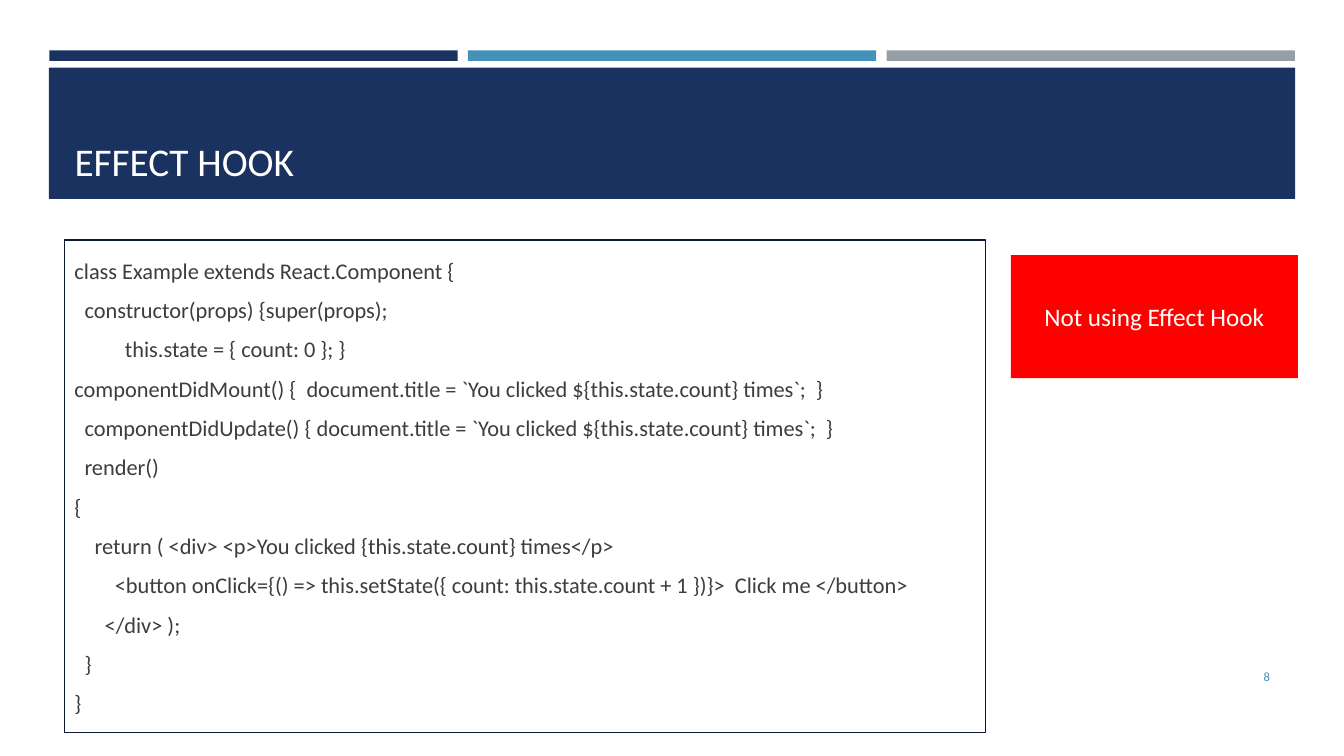
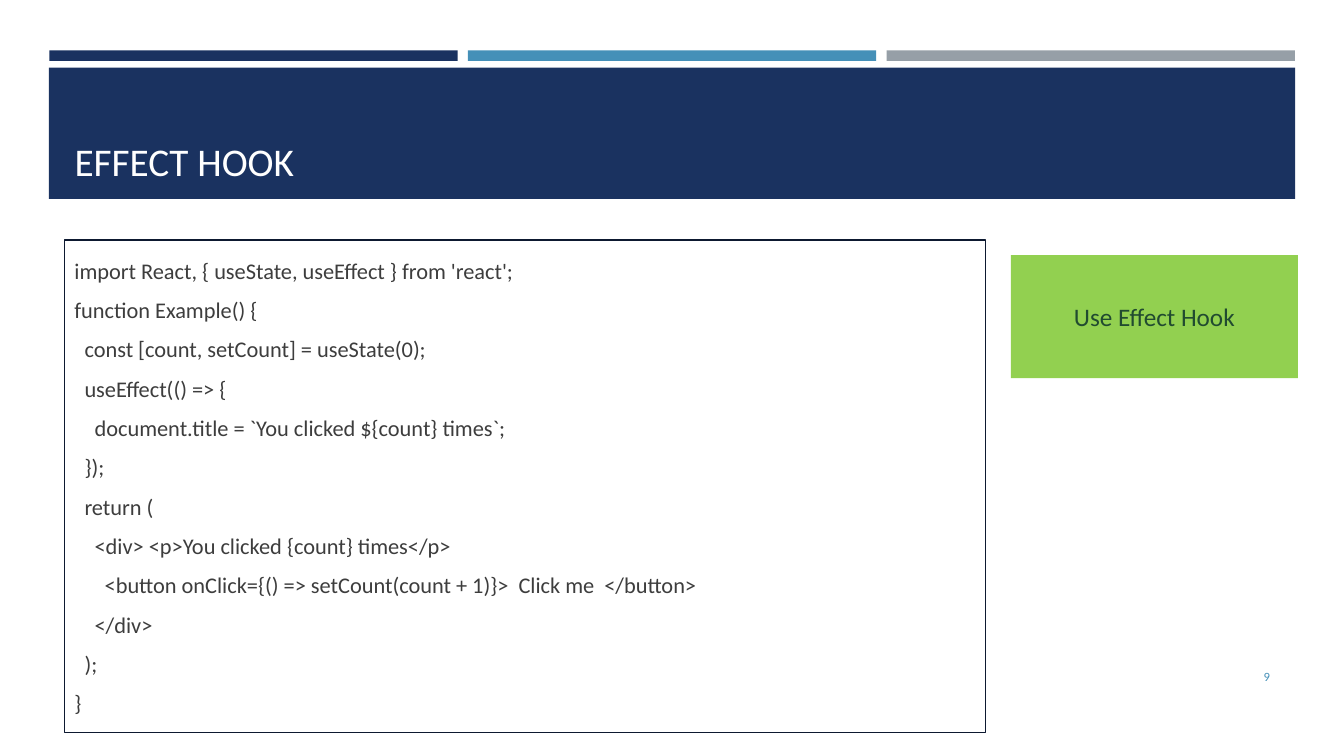
from dataclasses import dataclass

from pptx import Presentation
from pptx.dml.color import RGBColor
from pptx.enum.shapes import MSO_SHAPE as Shape
from pptx.enum.text import MSO_ANCHOR as Anchor, MSO_AUTO_SIZE as AutoSize, PP_ALIGN as Align
from pptx.util import Inches, Pt


@dataclass(frozen=True)
class Theme:
    font: str = "Calibri"
    navy: str = "1A3260"
    blue: str = "4590B8"
    grey: str = "969FA7"
    outline: str = "0D1930"
    ink: str = "3D3D3D"
    white: str = "FFFFFF"
    red: str = "FF0000"
    green: str = "92D050"
    dark_green: str = "214B30"
    title_size: int = 28
    badge_size: int = 18
    code_size: int = 16
    number_size: int = 9


THEME = Theme()
WIDTH, HEIGHT = Inches(13.333), Inches(7.5)
INDENT = Inches(0.1)
TITLE_ONLY = 5

# Areas: left, top, width, height in percent of the slide
BAND = (3.63, 8.95, 92.74, 17.35)
STRIPE_LEFT, STRIPE_STEP = 3.67, 31.15
STRIPE_TOP, STRIPE_WIDTH, STRIPE_HEIGHT = 6.67, 30.38, 1.4
TITLE = (4.8, 10.27, 90.45, 14.8)
CODE = (4.8, 31.75, 68.55, 65.2)
BADGE = (75.22, 33.75, 21.35, 16.27)
NUMBER = (86.62, 86.8, 8.62, 5.33)

# Code lines: indent steps, text
CLASS_CODE = [
    (0, "class Example extends React.Component {"),
    (1, "constructor(props) {super(props);"),
    (5, "this.state = { count: 0 }; }"),
    (0, "componentDidMount() {  document.title = `You clicked ${this.state.count} times`;  }"),
    (1, "componentDidUpdate() { document.title = `You clicked ${this.state.count} times`;  }"),
    (1, "render()"),
    (0, "{"),
    (2, "return ( <div> <p>You clicked {this.state.count} times</p>"),
    (4, "<button onClick={() => this.setState({ count: this.state.count + 1 })}>  Click me </button>"),
    (3, "</div> );"),
    (1, "}"),
    (0, "}"),
]
HOOK_CODE = [
    (0, "import React, { useState, useEffect } from 'react';"),
    (0, "function Example() {"),
    (1, "const [count, setCount] = useState(0);"),
    (1, "useEffect(() => {"),
    (2, "document.title = `You clicked ${count} times`;"),
    (1, "});"),
    (1, "return ("),
    (2, "<div> <p>You clicked {count} times</p>"),
    (3, "<button onClick={() => setCount(count + 1)}>  Click me  </button>"),
    (2, "</div>"),
    (1, ");"),
    (0, "}"),
]
SLIDES = [
    (CLASS_CODE, "Not using Effect Hook", THEME.red, THEME.white),
    (HOOK_CODE, "Use Effect Hook", THEME.green, THEME.dark_green),
]


def rgb(value):
    return RGBColor.from_string(value)


def place(area):
    left, top, width, height = (share / 100 for share in area)
    return int(left * WIDTH), int(top * HEIGHT), int(width * WIDTH), int(height * HEIGHT)


def write(box, lines, size, color, align=Align.LEFT, anchor=Anchor.MIDDLE):
    """Fill a box with one paragraph per line, all in one style."""
    frame = box.text_frame
    frame.text = "\n".join(lines)
    frame.word_wrap = True
    frame.auto_size = AutoSize.NONE
    frame.vertical_anchor = anchor
    for para in frame.paragraphs:
        para.alignment = align
        for span in para.runs:
            span.font.name = THEME.font
            span.font.size = Pt(size)
            span.font.color.rgb = rgb(color)
    return frame.paragraphs


def add_block(slide, area, fill):
    block = slide.shapes.add_shape(Shape.RECTANGLE, *place(area))
    block.shadow.inherit = False
    block.fill.solid()
    block.fill.fore_color.rgb = rgb(fill)
    block.line.fill.background()
    return block


def set_title(slide, text):
    title = slide.shapes.title
    title.left, title.top, title.width, title.height = place(TITLE)
    write(title, [text], THEME.title_size, THEME.white, anchor=Anchor.BOTTOM)


def add_code(slide, code):
    box = slide.shapes.add_textbox(*place(CODE))
    box.line.color.rgb = rgb(THEME.outline)
    box.line.width = Pt(0.75)
    paragraphs = write(box, [text for _, text in code], THEME.code_size, THEME.ink)
    for para, (steps, _) in zip(paragraphs, code):
        para.space_before, para.space_after = Pt(2.9), Pt(6)
        para._p.get_or_add_pPr().set("marL", str(steps * INDENT))


def add_number(slide, number):
    box = slide.shapes.add_textbox(*place(NUMBER))
    write(box, [str(number)], THEME.number_size, THEME.blue, Align.RIGHT)


def add_badge(slide, text, fill, color):
    write(add_block(slide, BADGE, fill), [text], THEME.badge_size, color, Align.CENTER)


def decorate_layout(layout, slide):
    """Draw the stripes and title band, then move them to the shared layout."""
    blocks = [add_block(slide, BAND, THEME.navy)]
    for column, fill in enumerate((THEME.navy, THEME.blue, THEME.grey)):
        left = STRIPE_LEFT + column * STRIPE_STEP
        blocks.append(add_block(slide, (left, STRIPE_TOP, STRIPE_WIDTH, STRIPE_HEIGHT), fill))
    for block in blocks:
        layout.shapes._spTree.append(block._element)


def main():
    deck = Presentation()
    deck.slide_width, deck.slide_height = WIDTH, HEIGHT
    layout = deck.slide_layouts[TITLE_ONLY]
    for number, (code, label, fill, color) in enumerate(SLIDES, start=8):
        page = deck.slides.add_slide(layout)
        set_title(page, "EFFECT HOOK")
        add_code(page, code)
        add_number(page, number)
        add_badge(page, label, fill, color)
    decorate_layout(layout, deck.slides[0])
    deck.save("out.pptx")


if __name__ == "__main__":
    main()
